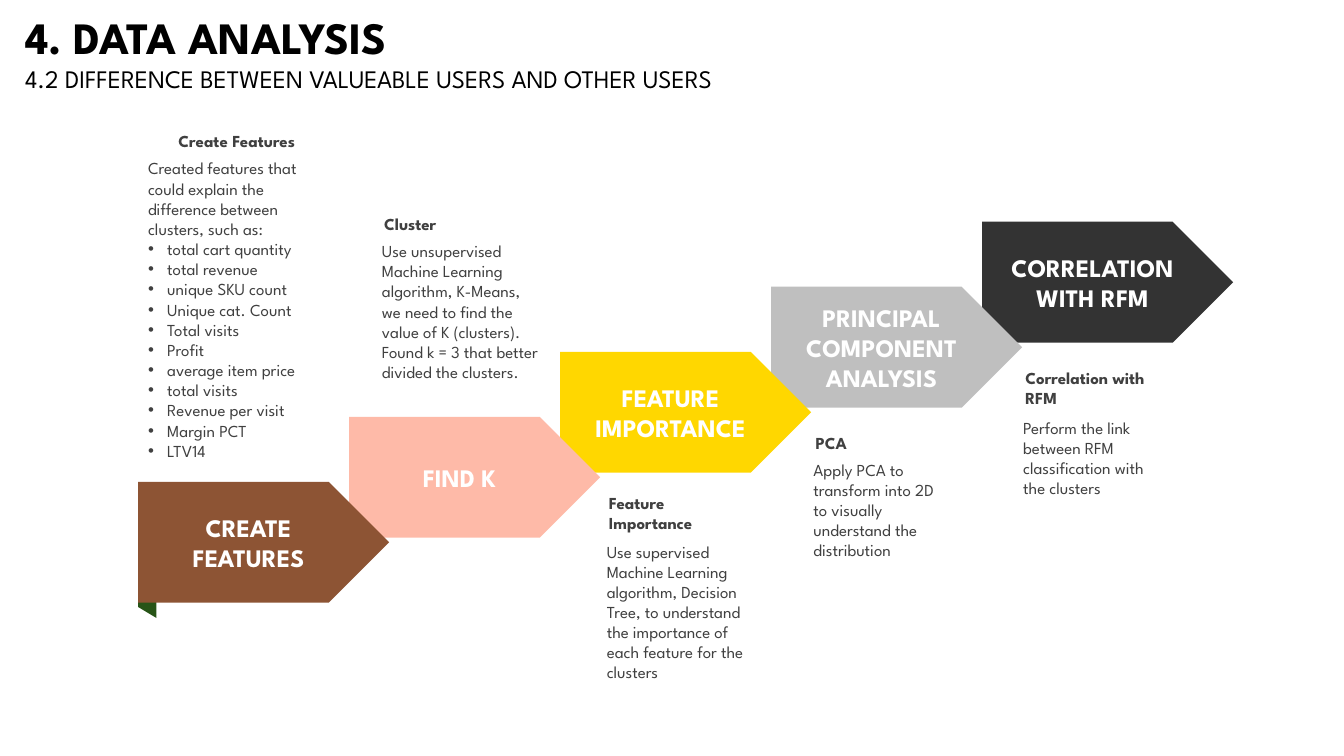
from pptx import Presentation
from pptx.dml.color import RGBColor
from pptx.enum.shapes import MSO_SHAPE
from pptx.enum.text import MSO_ANCHOR, MSO_AUTO_SIZE, PP_ALIGN
from pptx.oxml.ns import qn
from pptx.util import Inches, Pt

FONT = "League Spartan"
BLACK = RGBColor(0x00, 0x00, 0x00)
WHITE = RGBColor(0xFF, 0xFF, 0xFF)
TEXT_GRAY = RGBColor(0x40, 0x40, 0x40)
FOLD_GREEN = RGBColor(0x27, 0x54, 0x17)
BROWN = RGBColor(0x8D, 0x54, 0x34)
PINK = RGBColor(0xFE, 0xBA, 0xA8)
GOLD = RGBColor(0xFF, 0xD7, 0x00)
SILVER = RGBColor(0xBF, 0xBF, 0xBF)
CHARCOAL = RGBColor(0x33, 0x33, 0x33)

STEPS = [
    ("CREATE FEATURES", BROWN),
    ("FIND K", PINK),
    ("FEATURE IMPORTANCE", GOLD),
    ("PRINCIPAL COMPONENT ANALYSIS", SILVER),
    ("CORRELATION WITH RFM", CHARCOAL),
]
FIRST_LEFT, FIRST_TOP = 1.37, 4.78
LAST_LEFT, LAST_TOP = 9.74, 2.2

FEATURES = [
    "total cart quantity", "total revenue", "unique SKU count",
    "Unique cat. Count", "Total visits", "Profit", "average item price",
    "total visits", "Revenue per visit", "Margin PCT", "LTV14",
]

# heading, heading box, body, body box, bullets
NOTES = [
    ("PCA", (7.97, 4.24, 1.46, 0.3),
     "Apply PCA to transform into 2D to visually understand the distribution",
     (7.97, 4.51, 1.46, 1.11), []),
    ("Correlation with RFM", (10.05, 3.6, 1.46, 0.5),
     "Perform the link between RFM classification with the clusters",
     (10.05, 4.09, 1.46, 0.91), []),
    ("Feature Importance", (5.92, 4.84, 1.46, 0.5),
     "Use supervised Machine Learning algorithm, Decision Tree, to understand "
     "the importance of each feature for the clusters",
     (5.92, 5.32, 1.76, 1.51), []),
    ("Cluster", (3.69, 2.07, 1.77, 0.3),
     "Use unsupervised Machine Learning algorithm, K-Means, we need to find the "
     "value of K (clusters). Found k = 3 that better divided the clusters.",
     (3.69, 2.34, 1.77, 1.72), []),
    ("Create Features", (1.65, 1.25, 1.77, 0.3),
     "Created features that could explain the difference between clusters, such as:",
     (1.37, 1.52, 2.05, 3.13), FEATURES),
]


def format_runs(p, size, color, bold=False):
    for r in p.runs:
        r.font.name = FONT
        r.font.size = Pt(size)
        r.font.bold = bold
        r.font.color.rgb = color


def add_bullet(p):
    pPr = p._p.get_or_add_pPr()
    pPr.set("marL", str(Inches(0.19)))
    pPr.set("indent", str(-Inches(0.19)))
    font = pPr.makeelement(qn("a:buFont"), {"typeface": "Arial"})
    char = pPr.makeelement(qn("a:buChar"), {"char": "•"})
    pPr.extend([font, char])


def add_text_box(slide, box, wrap=True):
    tf = slide.shapes.add_textbox(*map(Inches, box)).text_frame
    tf.word_wrap = wrap
    tf.auto_size = MSO_AUTO_SIZE.SHAPE_TO_FIT_TEXT
    return tf


def add_title(slide, title, subtitle):
    tf = add_text_box(slide, (0.15, 0.05, 8.21, 0.94), wrap=False)
    tf.text = title
    format_runs(tf.paragraphs[0], 32, BLACK, bold=True)
    p = tf.add_paragraph()
    p.text = subtitle
    format_runs(p, 18, BLACK)


def add_filled_shape(slide, kind, box, color):
    sp = slide.shapes.add_shape(kind, *map(Inches, box))
    sp.shadow.inherit = False
    sp.fill.solid()
    sp.fill.fore_color.rgb = color
    sp.line.fill.background()
    return sp


def add_step(slide, left, top, label, color):
    """Draw one arrow with the folded strip behind its left edge."""
    fold = add_filled_shape(slide, MSO_SHAPE.PARALLELOGRAM,
                            (left - 0.57, top + 0.6, 1.32, 0.18), FOLD_GREEN)
    fold.adjustments[0] = 0.6
    fold.rotation = 90

    arrow = add_filled_shape(slide, MSO_SHAPE.PENTAGON, (left, top, 2.49, 1.2), color)
    tf = arrow.text_frame
    tf.word_wrap = True
    tf.vertical_anchor = MSO_ANCHOR.MIDDLE
    tf.text = label
    p = tf.paragraphs[0]
    p.alignment = PP_ALIGN.CENTER
    format_runs(p, 18, WHITE, bold=True)


def add_note(slide, heading, heading_box, body, body_box, bullets):
    tf = add_text_box(slide, body_box)
    tf.text = body
    for bullet in bullets:
        p = tf.add_paragraph()
        add_bullet(p)
        p.text = bullet
    for p in tf.paragraphs:
        format_runs(p, 12, TEXT_GRAY)

    tf = add_text_box(slide, heading_box)
    tf.margin_left = tf.margin_right = Inches(0.12)
    tf.text = heading
    format_runs(tf.paragraphs[0], 12, TEXT_GRAY, bold=True)


def main():
    prs = Presentation()
    prs.slide_width = Inches(13.33)
    prs.slide_height = Inches(7.5)
    slide = prs.slides.add_slide(prs.slide_layouts[6])

    add_title(slide, "4. DATA ANALYSIS",
              "4.2 DIFFERENCE BETWEEN VALUEABLE USERS AND OTHER USERS")

    # Lower steps overlap the higher ones, so the last step goes in first.
    last = len(STEPS) - 1
    for i, (label, color) in reversed(list(enumerate(STEPS))):
        left = FIRST_LEFT + (LAST_LEFT - FIRST_LEFT) * i / last
        top = FIRST_TOP + (LAST_TOP - FIRST_TOP) * i / last
        add_step(slide, left, top, label, color)

    for note in NOTES:
        add_note(slide, *note)

    prs.save("out.pptx")


if __name__ == "__main__":
    main()
